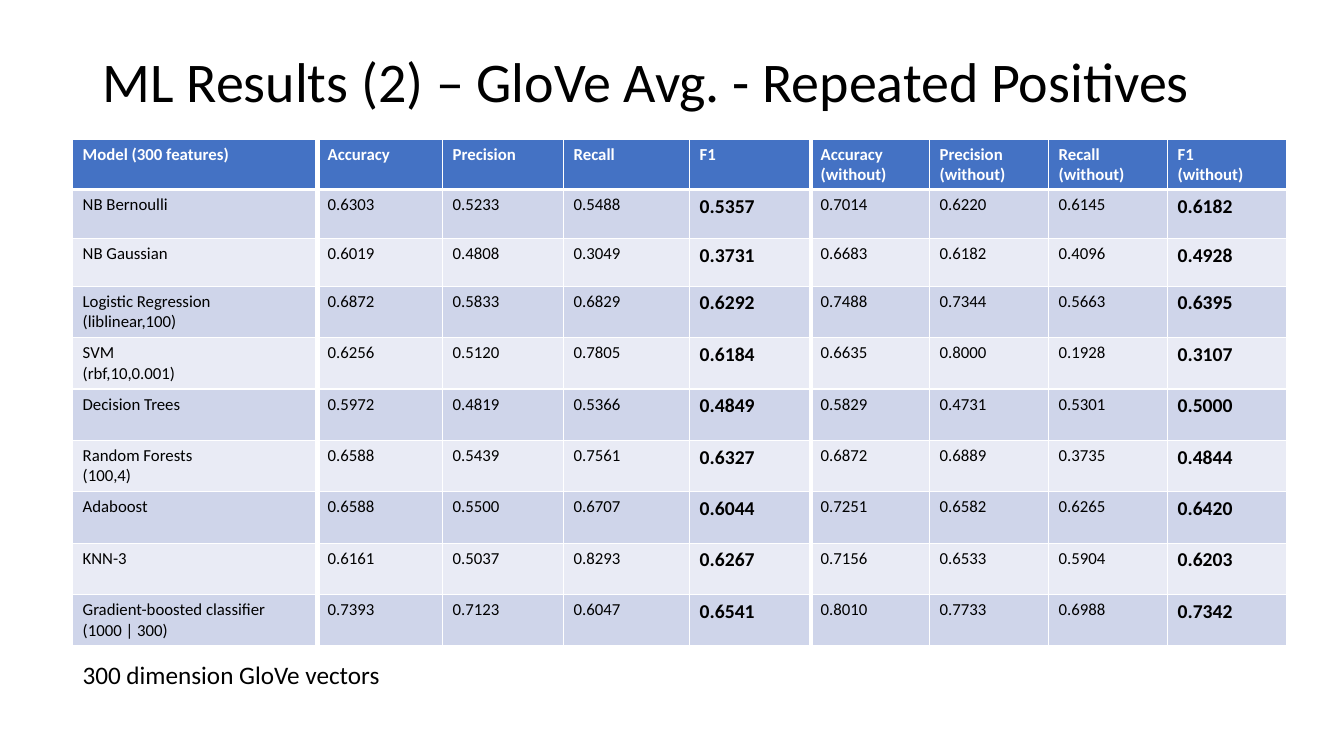
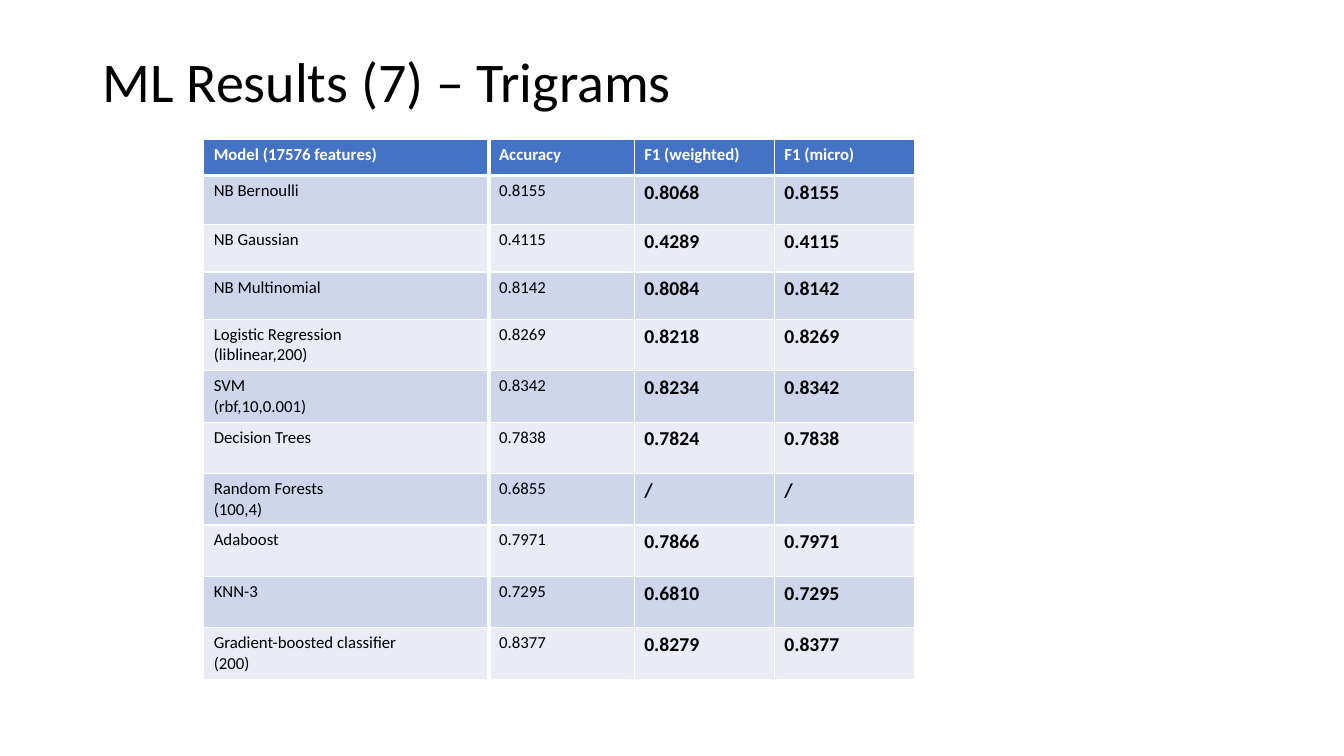
"""Build two slides of machine learning results, each with a banded score table."""
from dataclasses import dataclass

from lxml import etree
from pptx import Presentation
from pptx.dml.color import RGBColor
from pptx.enum.shapes import MSO_CONNECTOR
from pptx.enum.text import MSO_ANCHOR
from pptx.oxml.ns import qn
from pptx.util import Inches, Pt

STRAIGHT = MSO_CONNECTOR.STRAIGHT
MIDDLE = MSO_ANCHOR.MIDDLE


@dataclass(frozen=True)
class Theme:
    font: str = "Calibri"
    ink: str = "000000"
    white: str = "FFFFFF"
    header: str = "4472C4"
    bands: tuple = ("CFD5EA", "E9EBF5")
    title_size: int = 40
    note_size: int = 18
    score_size: int = 14
    cell_size: int = 12
    thin: int = 1
    thick: int = 3


THEME = Theme()
TABLE_TOP = 1.38

SLIDES = [
    {
        "title": "ML Results (2) – GloVe Avg. - Repeated Positives",
        "left": 0.72,
        "columns": [2.43, 1.24, 1.2, 1.25, 1.2] + [1.18] * 4,
        "heights": [0.49, 0.49, 0.47] + [0.51] * 7,
        "dividers": [3.15, 8.04],
        "note": "300 dimension GloVe vectors",
        "rows": [
            ["Model (300 features)", "Accuracy", "Precision", "Recall", "F1",
             "Accuracy (without)", "Precision (without)", "Recall (without)", "F1\n(without)"],
            ["NB Bernoulli", "0.6303", "0.5233", "0.5488", "0.5357",
             "0.7014", "0.6220", "0.6145", "0.6182"],
            ["NB Gaussian", "0.6019", "0.4808", "0.3049", "0.3731",
             "0.6683", "0.6182", "0.4096", "0.4928"],
            ["Logistic Regression\n(liblinear,100)", "0.6872", "0.5833", "0.6829", "0.6292",
             "0.7488", "0.7344", "0.5663", "0.6395"],
            ["SVM\n(rbf,10,0.001)", "0.6256", "0.5120", "0.7805", "0.6184",
             "0.6635", "0.8000", "0.1928", "0.3107"],
            ["Decision Trees", "0.5972", "0.4819", "0.5366", "0.4849",
             "0.5829", "0.4731", "0.5301", "0.5000"],
            ["Random Forests\n(100,4)", "0.6588", "0.5439", "0.7561", "0.6327",
             "0.6872", "0.6889", "0.3735", "0.4844"],
            ["Adaboost", "0.6588", "0.5500", "0.6707", "0.6044",
             "0.7251", "0.6582", "0.6265", "0.6420"],
            ["KNN-3", "0.6161", "0.5037", "0.8293", "0.6267",
             "0.7156", "0.6533", "0.5904", "0.6203"],
            ["Gradient-boosted classifier\n(1000 | 300)", "0.7393", "0.7123", "0.6047", "0.6541",
             "0.8010", "0.7733", "0.6988", "0.7342"],
        ],
    },
    {
        "title": "ML Results (7) – Trigrams",
        "left": 2.02,
        "columns": [2.83, 1.44, 1.39, 1.39],
        "heights": [0.36, 0.49, 0.47, 0.47] + [0.51] * 7,
        "dividers": [4.85],
        "note": None,
        "rows": [
            ["Model (17576 features)", "Accuracy", "F1 (weighted)", "F1 (micro)"],
            ["NB Bernoulli", "0.8155", "0.8068", "0.8155"],
            ["NB Gaussian", "0.4115", "0.4289", "0.4115"],
            ["NB Multinomial", "0.8142", "0.8084", "0.8142"],
            ["Logistic Regression\n(liblinear,200)", "0.8269", "0.8218", "0.8269"],
            ["SVM\n(rbf,10,0.001)", "0.8342", "0.8234", "0.8342"],
            ["Decision Trees", "0.7838", "0.7824", "0.7838"],
            ["Random Forests\n(100,4)", "0.6855", "/", "/"],
            ["Adaboost", "0.7971", "0.7866", "0.7971"],
            ["KNN-3", "0.7295", "0.6810", "0.7295"],
            ["Gradient-boosted classifier\n(200)", "0.8377", "0.8279", "0.8377"],
        ],
    },
]


def write_text(frame, text, size, color=THEME.ink, bold=False):
    """Write each line of the text as a paragraph with one run."""
    for index, line in enumerate(text.split("\n")):
        para = frame.add_paragraph() if index else frame.paragraphs[0]
        span = para.add_run()
        span.text = line
        span.font.name = THEME.font
        span.font.size = Pt(size)
        span.font.bold = bold
        span.font.color.rgb = RGBColor.from_string(color)


def style_cell(cell, fill, top, bottom):
    """Give a cell white borders and a solid fill."""
    properties = cell._tc.get_or_add_tcPr()
    for side, width in (("L", THEME.thin), ("R", THEME.thin), ("T", top), ("B", bottom)):
        border = etree.SubElement(properties, qn(f"a:ln{side}"), w=str(Pt(width)))
        solid = etree.SubElement(border, qn("a:solidFill"))
        etree.SubElement(solid, qn("a:srgbClr"), val=THEME.white)
    cell.fill.solid()
    cell.fill.fore_color.rgb = RGBColor.from_string(fill)


deck = Presentation()
deck.slide_width = Inches(13.33)
deck.slide_height = Inches(7.5)

for content in SLIDES:
    page = deck.slides.add_slide(deck.slide_layouts[6])
    rows, columns, heights = content["rows"], content["columns"], content["heights"]
    left = content["left"]
    table_height = sum(heights)

    title_box = page.shapes.add_textbox(Inches(0.92), Inches(0.11), Inches(11.5), Inches(1.45))
    title_box.text_frame.word_wrap = True
    title_box.text_frame.vertical_anchor = MIDDLE
    write_text(title_box.text_frame, content["title"], THEME.title_size)
    title_box.text_frame.paragraphs[0].line_spacing = 0.9

    table = page.shapes.add_table(
        len(rows), len(columns), Inches(left), Inches(TABLE_TOP),
        Inches(sum(columns)), Inches(table_height)).table
    table.horz_banding = False
    for column, width in zip(table.columns, columns):
        column.width = Inches(width)
    for row_index, values in enumerate(rows):
        table.rows[row_index].height = Inches(heights[row_index])
        is_header = row_index == 0
        fill = THEME.header if is_header else THEME.bands[(row_index - 1) % 2]
        top = THEME.thick if row_index == 1 else THEME.thin
        bottom = THEME.thick if is_header else THEME.thin
        for column_index, value in enumerate(values):
            cell = table.cell(row_index, column_index)
            style_cell(cell, fill, top, bottom)
            is_score = not is_header and rows[0][column_index].startswith("F1")
            write_text(
                cell.text_frame, value,
                THEME.score_size if is_score else THEME.cell_size,
                THEME.white if is_header else THEME.ink,
                is_header or is_score)

    if content["note"]:
        note_box = page.shapes.add_textbox(Inches(left), Inches(6.49), Inches(3.18), Inches(0.4))
        note_box.text_frame.word_wrap = False
        write_text(note_box.text_frame, content["note"], THEME.note_size)

    for x in content["dividers"]:
        divider = page.shapes.add_connector(
            STRAIGHT, Inches(x), Inches(TABLE_TOP), Inches(x), Inches(TABLE_TOP + table_height))
        divider.line.color.rgb = RGBColor.from_string(THEME.white)
        divider.line.width = Pt(THEME.thick)
        etree.SubElement(divider._element.spPr, qn("a:effectLst"))

deck.save("out.pptx")
